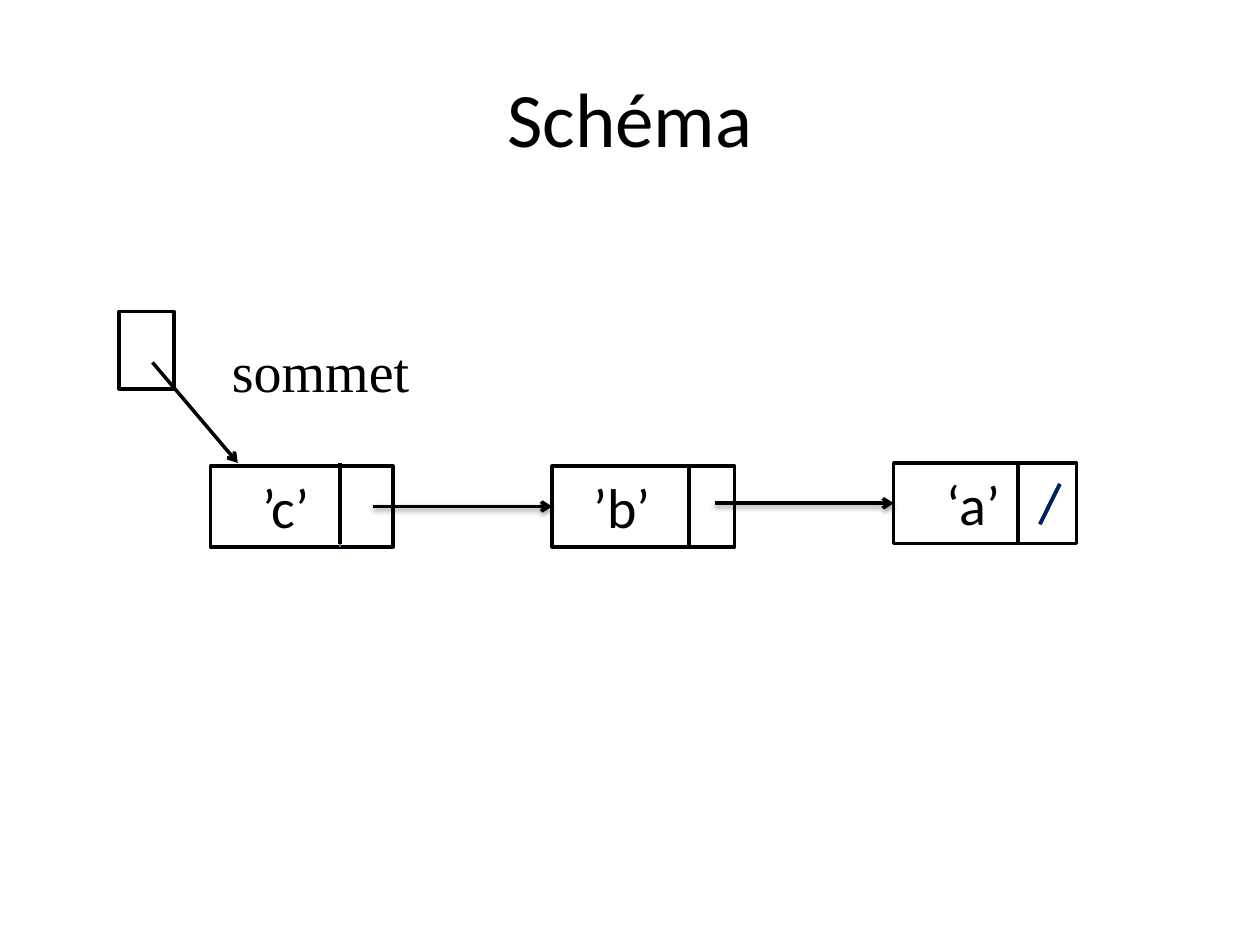
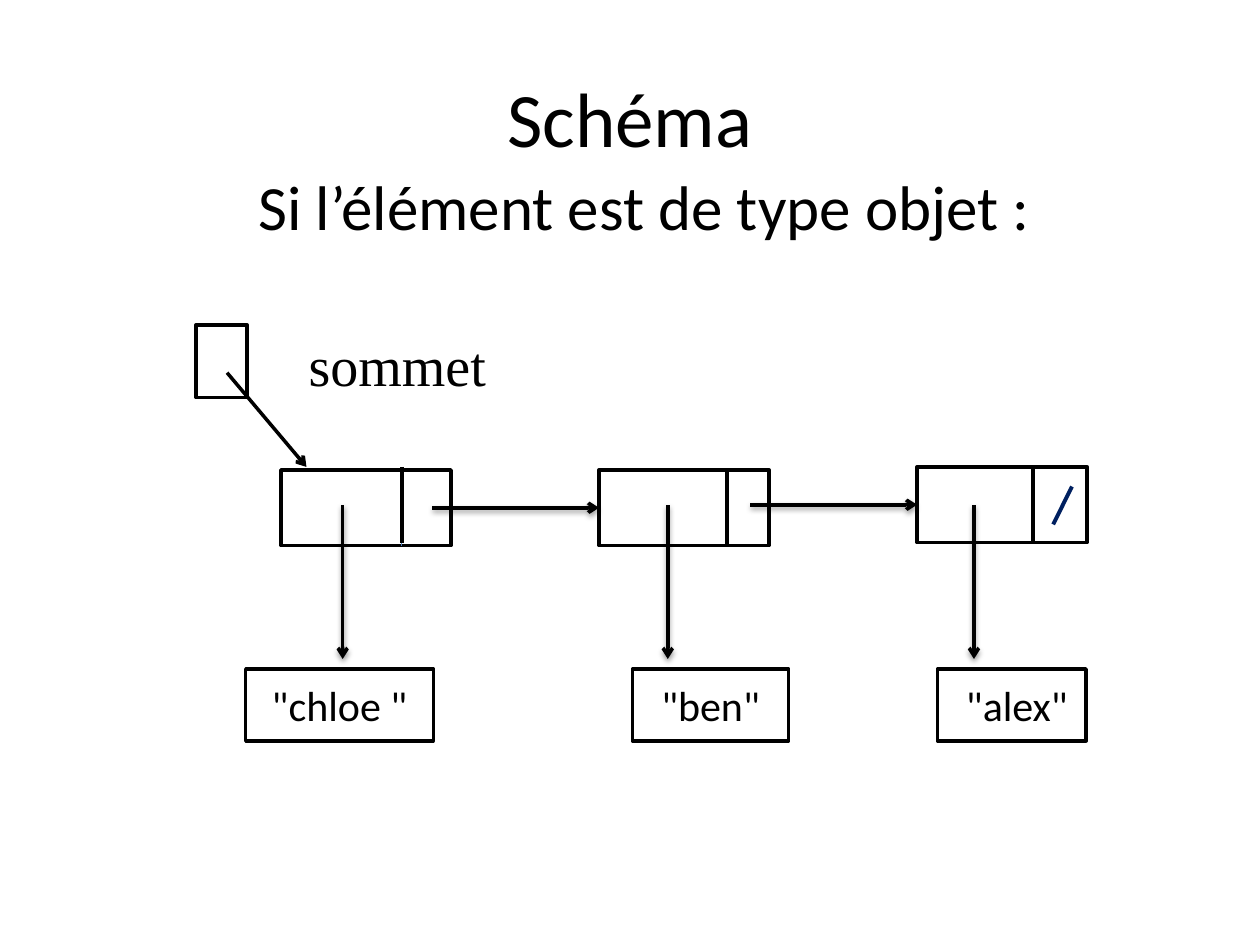
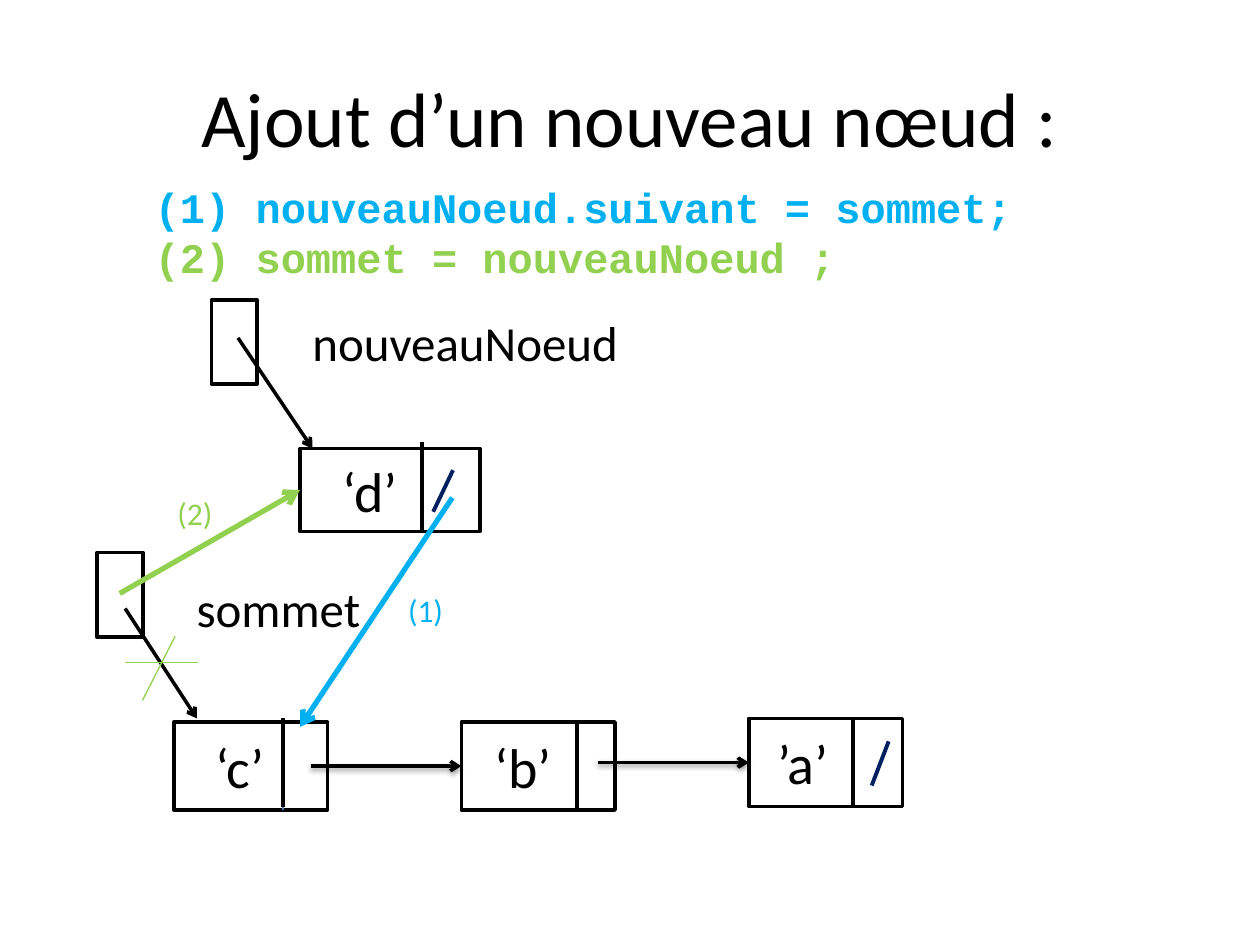
from lxml import etree
from pptx import Presentation
from pptx.dml.color import RGBColor
from pptx.enum.shapes import MSO_CONNECTOR as CONN, MSO_SHAPE as SHAPE
from pptx.enum.text import MSO_ANCHOR as ANCHOR, MSO_AUTO_SIZE as FIT, PP_ALIGN as ALIGN
from pptx.oxml.ns import qn
from pptx.util import Inches, Pt

BLACK = RGBColor(0x00, 0x00, 0x00)
WHITE = RGBColor(0xFF, 0xFF, 0xFF)
NAVY = RGBColor(0x00, 0x20, 0x60)
STEEL = RGBColor(0x4B, 0x7E, 0xBC)
BLUE = RGBColor(0x00, 0xB0, 0xF0)
GREEN = RGBColor(0x92, 0xD0, 0x50)

BODY, SERIF, CODE = "Calibri", "Times New Roman", "Courier New"
COLS = 100  # grid of 100 columns by 75 rows, square cells
LEFT_SITE = 1  # connection site at the middle of a rectangle's left side

# Chain proportions, as shares of a node's width or height
STEP, LINK_START, LIFT = 1.87, 0.89, 0.04
DIVIDERS = (0.71, 0.75, 0.68)
POINTER = dict(dx=-0.5, dy=-1.92, w=0.3, h=0.96)


class Deck:
    """Style, current slide and one method for each kind of element."""

    def __init__(self):
        self.prs = Presentation()
        self.prs.slide_width, self.prs.slide_height = Inches(10), Inches(7.5)
        self.cell = self.prs.slide_width / COLS

    def at(self, *lengths):
        return [round(v * self.cell) for v in lengths]

    def slide(self, title):
        self.s = self.prs.slides.add_slide(self.prs.slide_layouts[5])
        sp = self.s.shapes.title
        sp.left, sp.top, sp.width, sp.height = self.at(5, 3, 90, 12.5)
        self.fill_text(sp, [title], size=44, align=ALIGN.CENTER, anchor=ANCHOR.MIDDLE)

    def fill_text(self, sp, lines, size, font=BODY, colors=(BLACK,), bold=False,
                  align=ALIGN.LEFT, anchor=ANCHOR.TOP, inset=1, wrap=True):
        tf = sp.text_frame
        frame = dict(word_wrap=wrap, vertical_anchor=anchor, margin_left=self.at(inset)[0])
        for name, value in frame.items():
            setattr(tf, name, value)
        for i, line in enumerate(lines):
            p = tf.add_paragraph() if i else tf.paragraphs[0]
            p.alignment = align
            r = p.add_run()
            r.text = line
            for name, value in dict(name=font, size=Pt(size), bold=bold).items():
                setattr(r.font, name, value)
            r.font.color.rgb = colors[i % len(colors)]

    def text(self, box, lines, **style):
        sp = self.s.shapes.add_textbox(*self.at(*box))
        self.fill_text(sp, lines, **style)
        sp.text_frame.auto_size = FIT.SHAPE_TO_FIT_TEXT

    def rect(self, box, text=None, outlined=True, **style):
        sp = self.s.shapes.add_shape(SHAPE.RECTANGLE, *self.at(*box))
        sp.shadow.inherit = False
        sp.fill.solid()
        sp.fill.fore_color.rgb = WHITE
        if outlined:
            sp.line.color.rgb = BLACK
            sp.line.width = Pt(2)
        else:
            sp.line.fill.background()
        if text:
            self.fill_text(sp, [text], **style)
        return sp

    def line(self, x1, y1, x2, y2, color=BLACK, width=2.25, arrow=False,
             shadow=False, target=None):
        c = self.s.shapes.add_connector(CONN.STRAIGHT, *self.at(x1, y1, x2, y2))
        if target:
            c.end_connect(target, LEFT_SITE)
        c.line.color.rgb = color
        c.line.width = Pt(width)
        props = c._element.spPr
        if arrow:
            etree.SubElement(props.find(qn("a:ln")), qn("a:tailEnd"), type="arrow")
        effects = etree.SubElement(props, qn("a:effectLst"))
        if shadow:
            outer = etree.SubElement(effects, qn("a:outerShdw"), blurRad=str(int(Pt(3.1))),
                                     dist=str(int(Pt(1.6))), dir="5400000", rotWithShape="0")
            black = etree.SubElement(outer, qn("a:srgbClr"), val=str(BLACK))
            etree.SubElement(black, qn("a:alpha"), val="38000")

    def arrow(self, *ends, width=2, **style):
        self.line(*ends, width=width, arrow=True, **style)

    def node(self, box, label, inset):
        return self.rect(box, label, size=32, anchor=ANCHOR.MIDDLE, inset=inset)

    def null(self, x, y, w, h, right=0.91):
        """Slash that marks an empty link."""
        self.line(x + right * w, y + 0.26 * h, x + (right - 0.11) * w, y + 0.76 * h,
                  color=NAVY)

    def caption(self, box, text, **style):
        self.rect(box, text, outlined=False, **style)

    def pointer(self, box, start, tip):
        self.rect(box)
        x, y, w, h = box
        self.arrow(x + start[0] * w, y + start[1] * h, *tip)

    def chain(self, x, y, w, h, labels, insets):
        """Linked list of three nodes, with the pointer to its head."""
        boxes = [(x + i * STEP * w, y, w, h) for i in range(3)]
        lifted = y - LIFT * h
        boxes[2] = (boxes[2][0], lifted, w, h)
        nodes = [self.node(*each) for each in zip(boxes, labels, insets)]

        # Dividers: the head's is doubled and sits slightly high
        head = x + DIVIDERS[0] * w
        self.line(head, y, head, y + h, color=STEEL, width=0.75)
        for (bx, *_), share, top in zip(boxes, DIVIDERS, (lifted, y, lifted)):
            self.line(bx + share * w, top, bx + share * w, top + h)
        self.null(*boxes[2])

        # Links between neighbours
        for (bx, *_), (nx, ny, *_), target in zip(boxes, boxes[1:], nodes[1:]):
            mid = ny + h / 2
            self.arrow(bx + LINK_START * w, mid, nx, mid, shadow=True, target=target)

        # Pointer to the head
        box = (x + POINTER["dx"] * w, y + POINTER["dy"] * h, POINTER["w"] * w, POINTER["h"] * h)
        self.pointer(box, (0.61, 0.66), (x + 0.15 * w, lifted))


def main():
    d = Deck()

    # Slide 1: stack of characters
    d.slide("Schéma")
    d.caption((16.7, 26.2, 23.2, 5.2), "sommet", size=32, font=SERIF, inset=1.7)
    d.chain(16.7, 37, 14.5, 6.4, ("’c’", "’b’", "‘a’"), (4.1, 3.3, 4.2))

    # Slide 2: stack of objects
    d.slide("Schéma")
    d.caption((23.5, 25.7, 16.9, 4.9), "sommet", size=32, font=SERIF)
    d.chain(22.3, 37.3, 13.5, 6, (None,) * 3, (1,) * 3)
    objects = (
        (27.2, 19.5, 14.9, '"chloe "', 1),
        (53, 50.2, 12.4, '"ben"', 1),
        (77.3, 74.4, 11.8, '"alex"', 1.8),
    )
    for x, left, width, name, inset in objects:
        d.arrow(x, 40.1, x, 52.3, shadow=True)
        d.rect((left, 53.1, width, 5.7), name, size=24, align=ALIGN.CENTER,
               anchor=ANCHOR.MIDDLE, inset=inset)
    d.text((19.5, 12.8, 63.8, 7.1), ["Si l’élément est de type objet :"], size=36, wrap=False)

    # Slide 3: adding a node
    d.slide("Ajout d’un nouveau nœud :")
    d.text((11.3, 13.9, 70.6, 13.8),
           ["(1) nouveauNoeud.suivant = sommet;", "(2) sommet = nouveauNoeud ;"],
           size=24, font=CODE, colors=(BLUE, GREEN), bold=True, wrap=False)
    d.caption((13.9, 45.4, 19.8, 5.7), "sommet", size=28, inset=1.7)
    d.chain(13.8, 57.3, 12.2, 7, ("‘c’", "‘b’", "’a’"), (3.3, 2.6, 2.3))

    # New node and its pointer
    new_box = (23.8, 35.6, 14.3, 6.6)
    new_node = d.node(new_box, "‘d’", 3.4)
    d.line(33.5, 35.1, 33.5, 42.2, width=2)
    d.null(*new_box, right=0.85)
    d.caption((23.1, 24.3, 30.3, 5.7), "nouveauNoeud", size=28, inset=1.7)
    d.pointer((16.8, 23.8, 3.6, 6.7), (0.58, 0.45), (24.8, 35.6))

    # Numbered steps and the crossed-out link
    d.arrow(35.9, 39.5, 23.8, 57.7, color=BLUE, width=3)
    d.arrow(9.5, 47.1, 23.8, 38.9, color=GREEN, width=3, target=new_node)
    for ends in ((13.9, 50.5, 11.3, 55.6), (9.9, 52.6, 15.7, 52.6)):
        d.line(*ends, color=GREEN, width=0.75)
    for x, y, step, color in ((31.4, 46.4, "(1)", BLUE), (13.1, 38.7, "(2)", GREEN)):
        d.text((x, y, 6.3, 4), [step], size=18, colors=(color,))

    d.prs.save("out.pptx")


if __name__ == "__main__":
    main()
